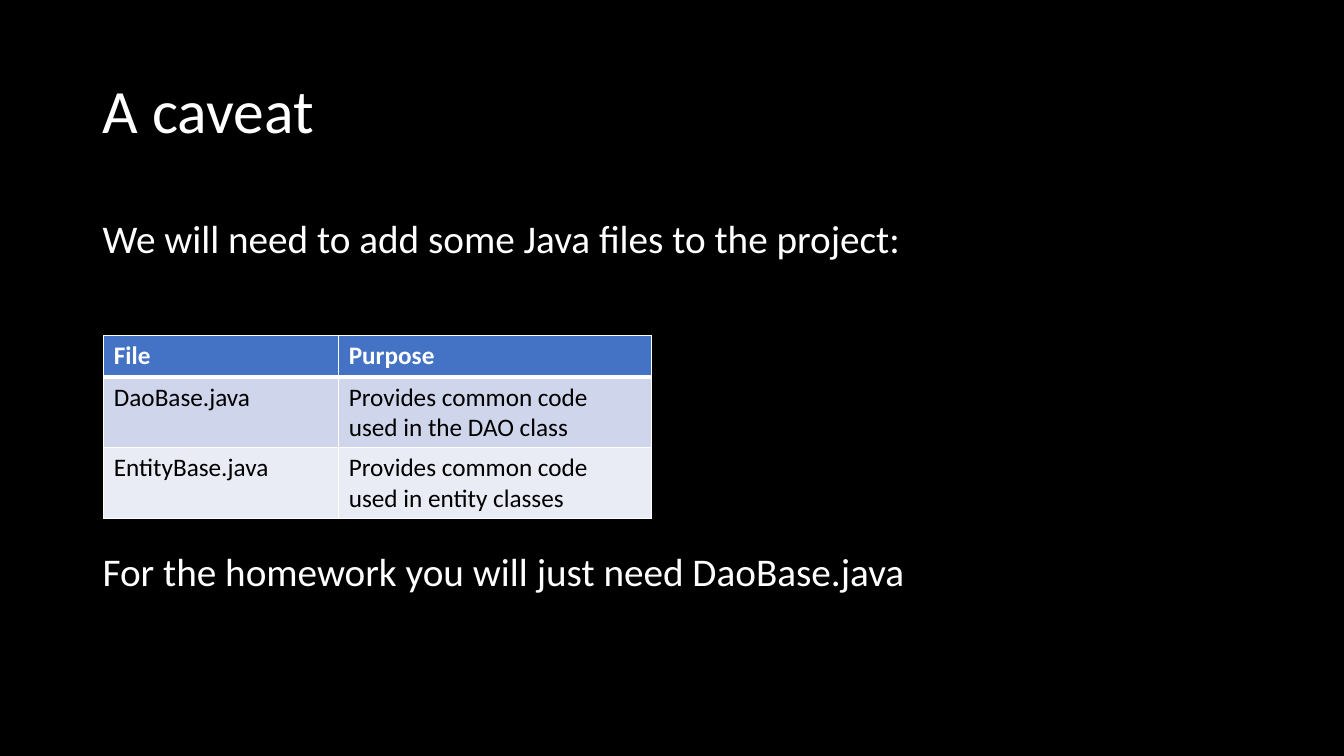
from dataclasses import dataclass

from lxml import etree
from pptx import Presentation
from pptx.dml.color import RGBColor
from pptx.enum import text
from pptx.oxml import ns
from pptx.util import Inches, Pt


@dataclass(frozen=True)
class Theme:
    font: str = "Calibri"
    background: str = "000000"
    light: str = "FFFFFF"
    dark: str = "000000"
    header: str = "4472C4"
    bands: tuple[str, str] = ("CFD5EA", "E9EBF5")
    title_size: int = 44
    body_size: int = 28
    table_size: int = 18


@dataclass(frozen=True)
class Statement:
    wording: str
    top: float
    width: float


@dataclass(frozen=True)
class JavaFile:
    name: str
    purpose: str


THEME = Theme()
LEFT = 0.92
STATEMENTS = [
    Statement("We will need to add some Java files to the project:", 2.13, 9.84),
    Statement("For the homework you will just need DaoBase.java", 5.43, 8.89),
]
FILES = [
    JavaFile("DaoBase.java", "Provides common code used in the DAO class"),
    JavaFile("EntityBase.java", "Provides common code used in entity classes"),
]
COLUMN_WIDTHS = (2.33, 3.1)
HEADER_HEIGHT, FILE_HEIGHT = 0.41, 0.7


def write(tf, wording: str, size: int, color: str,
          bold: bool = False, line_spacing: float = 1.0) -> None:
    p = tf.paragraphs[0]
    p.alignment = text.PP_ALIGN.LEFT
    p.line_spacing = line_spacing
    p.space_before = Pt(0)
    r = p.add_run()
    r.text = wording
    r.font.name = THEME.font
    r.font.size = Pt(size)
    r.font.bold = bold
    r.font.color.rgb = RGBColor.from_string(color)


def add_statement(slide, statement: Statement) -> None:
    sp = slide.shapes.add_textbox(Inches(LEFT), Inches(statement.top),
                                  Inches(statement.width), Inches(0.94))
    sp.text_frame.word_wrap = True
    write(sp.text_frame, statement.wording, THEME.body_size, THEME.light,
          line_spacing=0.9)


def add_borders(cell, top: int, bottom: int) -> None:
    tc_pr = cell._tc.get_or_add_tcPr()
    widths = {"lnL": 1, "lnR": 1, "lnT": top, "lnB": bottom}
    for i, (side, width) in enumerate(widths.items()):
        line = etree.Element(ns.qn(f"a:{side}"), w=str(Pt(width)))
        fill = etree.SubElement(line, ns.qn("a:solidFill"))
        etree.SubElement(fill, ns.qn("a:srgbClr"), val=THEME.light)
        tc_pr.insert(i, line)


def add_file_table(slide, files: list[JavaFile]) -> None:
    rows = [("File", "Purpose")] + [(f.name, f.purpose) for f in files]
    height = HEADER_HEIGHT + FILE_HEIGHT * len(files)
    table = slide.shapes.add_table(
        len(rows), len(COLUMN_WIDTHS), Inches(1.03), Inches(3.33),
        Inches(sum(COLUMN_WIDTHS)), Inches(height)).table
    for column, width in zip(table.columns, COLUMN_WIDTHS):
        column.width = Inches(width)
    for i, wordings in enumerate(rows):
        is_header = i == 0
        table.rows[i].height = Inches(HEADER_HEIGHT if is_header else FILE_HEIGHT)
        fill = THEME.header if is_header else THEME.bands[(i - 1) % 2]
        for j, wording in enumerate(wordings):
            cell = table.cell(i, j)
            cell.fill.solid()
            cell.fill.fore_color.rgb = RGBColor.from_string(fill)
            add_borders(cell, top=3 if i == 1 else 1, bottom=3 if is_header else 1)
            write(cell.text_frame, wording, THEME.table_size,
                  THEME.light if is_header else THEME.dark, bold=is_header)


def main() -> None:
    prs = Presentation()
    prs.slide_width, prs.slide_height = Inches(13.33), Inches(7.5)
    slide = prs.slides.add_slide(prs.slide_layouts[5])

    # Background
    slide.background.fill.solid()
    slide.background.fill.fore_color.rgb = RGBColor.from_string(THEME.background)

    # Title
    title = slide.shapes.title
    title.left, title.top = Inches(LEFT), Inches(0.4)
    title.width, title.height = Inches(11.5), Inches(1.45)
    tf = title.text_frame
    tf.auto_size = text.MSO_AUTO_SIZE.NONE
    tf.vertical_anchor = text.MSO_ANCHOR.MIDDLE
    write(tf, "A caveat", THEME.title_size, THEME.light, line_spacing=0.9)

    # Statements and the table between them
    for statement in STATEMENTS:
        add_statement(slide, statement)
    add_file_table(slide, FILES)

    prs.save("out.pptx")


if __name__ == "__main__":
    main()
